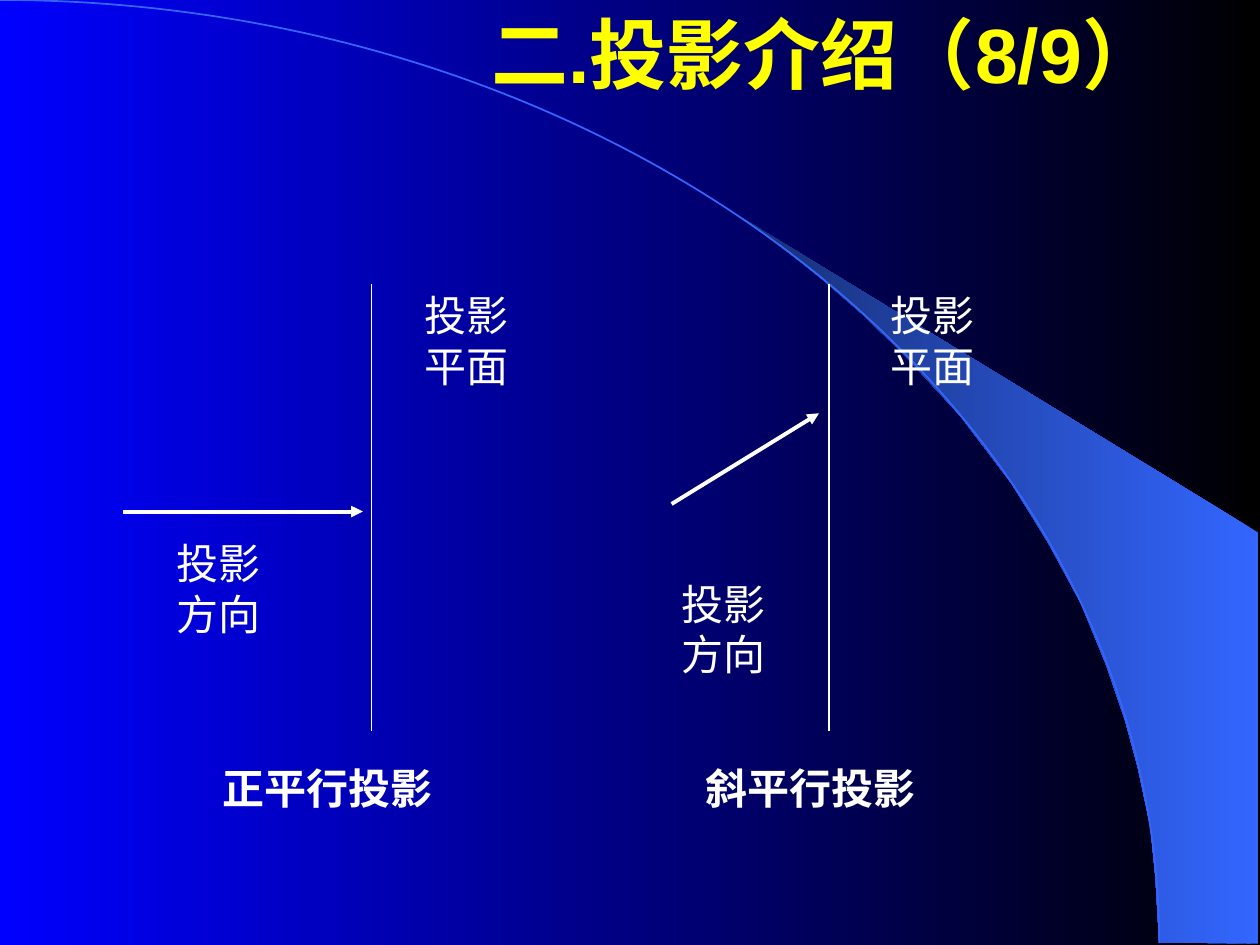
from lxml.etree import SubElement
from pptx import Presentation
from pptx.dml.color import RGBColor
from pptx.enum.shapes import MSO_CONNECTOR, MSO_SHAPE
from pptx.enum.text import MSO_ANCHOR
from pptx.oxml.ns import qn
from pptx.util import Inches, Pt

COLUMN = ROW = Inches(1)
COLUMNS, ROWS = 10, 7.5
PLANE_TOP, PLANE_BOTTOM = 2.25, 5.8
COLORS = {
    "black": "000000",
    "blue": "0000FF",
    "sky": "3366FF",
    "navy": "172F75",
    "yellow": "FFFF00",
    "white": "FFFFFF",
}
WEDGE = [
    (9.2, 7.48), (9.99, 7.49), (9.99, 4.23), (5.89, 1.73), (6.24, 1.99),
    (6.53, 2.22), (6.85, 2.5), (7.16, 2.8), (7.62, 3.3), (8.03, 3.84),
    (8.32, 4.31), (8.58, 4.79), (8.78, 5.28), (8.93, 5.72), (9.03, 6.09),
    (9.13, 6.56), (9.17, 6.96),
]
PANELS = [
    {"name": "正平行投影", "name_left": 1.67, "plane": 2.95, "plane_label": 3.27,
     "arrow": ((0.98, 4.06), (2.88, 4.06)), "direction_label": (1.3, 4.22)},
    {"name": "斜平行投影", "name_left": 5.5, "plane": 6.58, "plane_label": 6.97,
     "arrow": ((5.33, 4), (6.5, 3.28)), "direction_label": (5.31, 4.54)},
]


def color(name):
    """Return the named colour."""
    return RGBColor.from_string(COLORS[name])


def place(column, row):
    """Turn a grid position or size into lengths."""
    return int(column * COLUMN), int(row * ROW)


def fill_gradient(fill, start, end):
    """Fill with a gradient that runs from right to left."""
    fill.gradient()
    fill.gradient_angle = 180
    for stop, position, name in zip(fill.gradient_stops, (0, 1), (start, end)):
        stop.position = position
        stop.color.rgb = color(name)


def add_wedge(slide):
    """Add the bright wedge outside the arc."""
    points = [(round(x * 100), round(y * 100)) for x, y in WEDGE]
    builder = slide.shapes.build_freeform(*points[0], scale=COLUMN / 100)
    builder.add_line_segments(points[1:], close=True)
    shape = builder.convert_to_shape()
    shape.shadow.inherit = False
    fill_gradient(shape.fill, "sky", "navy")
    shape.line.fill.background()


def add_arc(slide):
    """Add the quarter ellipse that sweeps over the slide."""
    shape = slide.shapes.add_shape(
        MSO_SHAPE.ARC, *place(-9.2, 0), *place(18.4, 14.97))
    shape.shadow.inherit = False
    shape.fill.background()
    shape.line.color.rgb = color("sky")
    shape.line.width = Pt(1)


def add_line(slide, start, end, width, arrow=False):
    """Add a white line, with an arrowhead at its end if asked."""
    connector = slide.shapes.add_connector(
        MSO_CONNECTOR.STRAIGHT, *place(*start), *place(*end))
    connector.line.color.rgb = color("white")
    connector.line.width = Pt(width)
    properties = connector._element.spPr
    if arrow:
        SubElement(properties.find(qn("a:ln")), qn("a:tailEnd"), type="triangle")
    SubElement(properties, qn("a:effectLst"))


def add_text(slide, text, position, size, points=24, bold=False,
             font="Times New Roman", tint="white"):
    """Add a wrapping text box with one run and return its frame."""
    shape = slide.shapes.add_textbox(*place(*position), *place(*size))
    frame = shape.text_frame
    frame.word_wrap = True
    run = frame.paragraphs[0].add_run()
    run.text = text
    run.font.name = font
    run.font.size = Pt(points)
    run.font.bold = bold
    run.font.color.rgb = color(tint)
    return frame


def add_panel(slide, panel):
    """Add one kind of projection: plane, direction and labels."""
    plane = panel["plane"]
    add_line(slide, (plane, PLANE_TOP), (plane, PLANE_BOTTOM), 0.75)
    add_line(slide, *panel["arrow"], 2.25, arrow=True)
    label_size = (0.95, 0.9)
    add_text(slide, "投影平面", (panel["plane_label"], PLANE_TOP), label_size)
    add_text(slide, "投影方向", panel["direction_label"], label_size)
    add_text(slide, panel["name"], (panel["name_left"], 6), (2.17, 0.5), bold=True)


def main():
    """Build the slide and save it."""
    presentation = Presentation()
    presentation.slide_width, presentation.slide_height = place(COLUMNS, ROWS)
    slide = presentation.slides.add_slide(presentation.slide_layouts[6])
    fill_gradient(slide.background.fill, "black", "blue")
    add_wedge(slide)
    add_arc(slide)
    title = add_text(slide, "二.投影介绍（8/9）", (3.8, 0), (6.2, 0.83),
                     points=44, bold=True, font="Arial", tint="yellow")
    title.vertical_anchor = MSO_ANCHOR.MIDDLE
    for panel in PANELS:
        add_panel(slide, panel)
    presentation.save("out.pptx")


if __name__ == "__main__":
    main()
